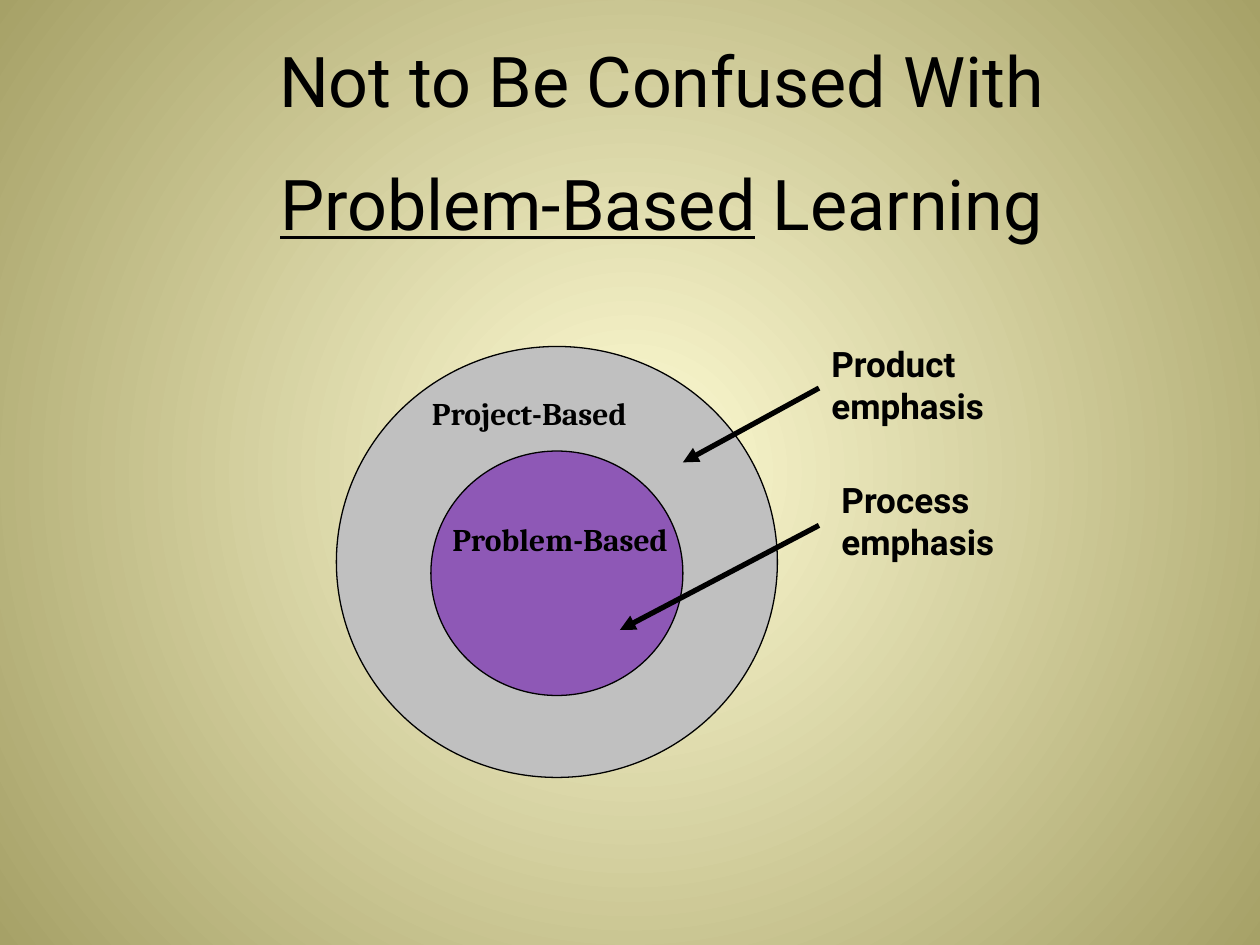
from dataclasses import dataclass

from lxml import etree
from pptx import Presentation
from pptx.dml.color import RGBColor
from pptx.enum import shapes, text
from pptx.oxml.ns import qn
from pptx.util import Inches, Pt

COLORS = {
    "ink": "000000",
    "glow": "FFFCD4",
    "edge": "A6A167",
    "project": "C0C0C0",
    "problem": "8E58B6",
}


@dataclass
class Circle:
    box: tuple[float, float, float, float]
    color: str


@dataclass
class Label:
    text: str
    box: tuple[float, float, float, float]
    font: str
    size: int
    align: text.PP_ALIGN = text.PP_ALIGN.LEFT


@dataclass
class Arrow:
    start: tuple[float, float]
    end: tuple[float, float]


CIRCLES = [
    Circle((2.67, 2.75, 3.5, 3.42), "project"),
    Circle((3.42, 3.58, 2, 1.94), "problem"),
]
LABELS = [
    Label("Problem-Based", (3.42, 4.08, 2.05, 0.9), "Cambria", 18, text.PP_ALIGN.CENTER),
    Label("Product emphasis", (6.5, 2.67, 1.67, 0.77), "Roboto", 20),
    Label("Process emphasis", (6.58, 3.75, 1.67, 0.77), "Roboto", 20),
    Label("Project-Based", (3.33, 3.08, 2.2, 0.5), "Cambria", 18),
]
ARROWS = [
    Arrow((6.5, 3.08), (5.42, 3.67)),
    Arrow((6.5, 4.17), (4.92, 5)),
]
TITLE_LINES = [
    [("Not to Be Confused With", False)],
    [("Problem-Based", True), (" Learning", False)],
]


def rgb(name: str) -> RGBColor:
    return RGBColor.from_string(COLORS[name])


def add_run(p, words: str, font: str, size: int, bold=False, underline=False) -> None:
    r = p.add_run()
    r.text = words
    r.font.name = font
    r.font.size = Pt(size)
    r.font.bold = bold
    r.font.underline = underline
    r.font.color.rgb = rgb("ink")


def paint_background(slide) -> None:
    """Fill with a radial gradient centred on the slide."""
    fill = slide.background.fill
    fill.gradient()
    for stop, name in zip(fill.gradient_stops, ("glow", "edge")):
        stop.color.rgb = rgb(name)
    grad = next(slide.element.iter(qn("a:gradFill")))
    radial = etree.Element(qn("a:path"), path="circle")
    etree.SubElement(radial, qn("a:fillToRect"), l="50000", t="50000", r="50000", b="50000")
    grad.replace(grad.find(qn("a:lin")), radial)


def write_title(title) -> None:
    title.left, title.top, title.width, title.height = map(Inches, (0, 0.25, 10, 1.78))
    tf = title.text_frame
    tf.word_wrap = True
    tf.auto_size = text.MSO_AUTO_SIZE.NONE
    tf.vertical_anchor = text.MSO_ANCHOR.TOP
    for i, line in enumerate(TITLE_LINES):
        p = tf.add_paragraph() if i else tf.paragraphs[0]
        p.alignment = text.PP_ALIGN.CENTER
        p.space_before = Pt(22)
        pPr = p._p.get_or_add_pPr()
        pPr.set("marL", str(Inches(0.5)))
        pPr.set("indent", "0")
        for words, underline in line:
            add_run(p, words, "Roboto", 40, underline=underline)


def add_circle(slide, circle: Circle) -> None:
    sp = slide.shapes.add_shape(shapes.MSO_SHAPE.OVAL, *map(Inches, circle.box))
    sp.shadow.inherit = False
    sp.fill.solid()
    sp.fill.fore_color.rgb = rgb(circle.color)
    sp.line.color.rgb = rgb("ink")
    sp.line.width = Pt(0.75)


def add_label(slide, label: Label) -> None:
    tf = slide.shapes.add_textbox(*map(Inches, label.box)).text_frame
    tf.word_wrap = True
    p = tf.paragraphs[0]
    p.alignment = label.align
    add_run(p, label.text, label.font, label.size, bold=True)


def add_arrow(slide, arrow: Arrow) -> None:
    line = slide.shapes.add_connector(
        shapes.MSO_CONNECTOR.STRAIGHT, *map(Inches, arrow.start + arrow.end))
    line.line.color.rgb = rgb("ink")
    line.line.width = Pt(3)
    etree.SubElement(line.line._get_or_add_ln(), qn("a:tailEnd"), type="triangle")
    etree.SubElement(line._element.spPr, qn("a:effectLst"))


def main() -> None:
    prs = Presentation()
    prs.slide_width, prs.slide_height = Inches(10), Inches(7.5)
    slide = prs.slides.add_slide(prs.slide_layouts[5])
    paint_background(slide)
    write_title(slide.shapes.title)
    for circle in CIRCLES:
        add_circle(slide, circle)
    for label in LABELS:
        add_label(slide, label)
    for arrow in ARROWS:
        add_arrow(slide, arrow)
    prs.save("out.pptx")


if __name__ == "__main__":
    main()
